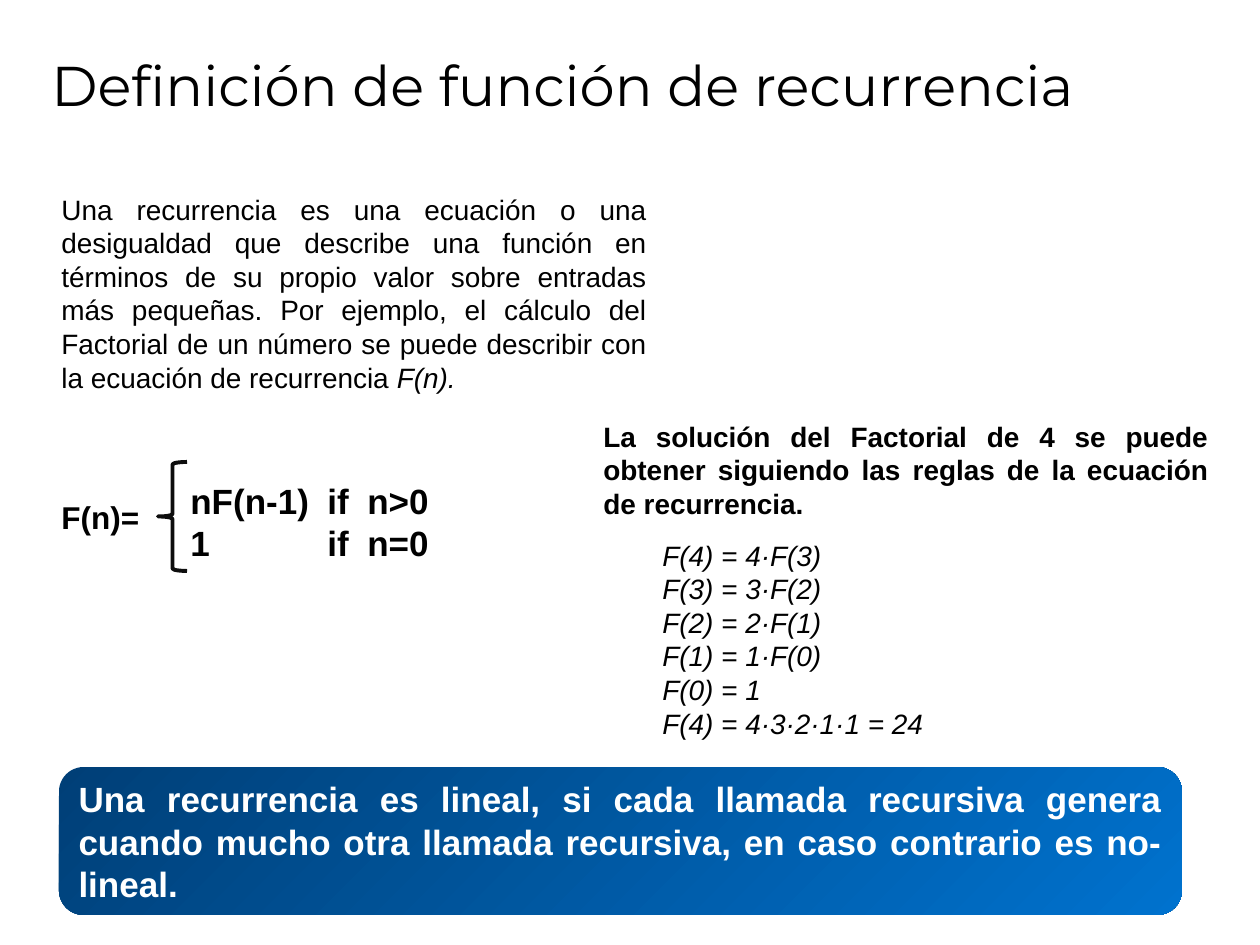
from pptx import Presentation
from pptx.dml.color import RGBColor
from pptx.enum.shapes import MSO_SHAPE
from pptx.enum.text import MSO_ANCHOR, PP_ALIGN
from pptx.oxml.ns import qn
from pptx.util import Pt
from lxml.etree import SubElement

PX = 914400 / 126
COLORS = {"text": "000000", "brace": "0D0D0D", "navy": "003F77",
          "blue": "0072CE", "white": "FFFFFF"}


def emu(*lengths):
    """Turn px lengths into EMU."""
    return [round(length * PX) for length in lengths]


def rgb(name):
    """Look up a colour by name."""
    return RGBColor.from_string(COLORS[name])


def write(frame, text, size, color="text", font="Arial", bold=False,
          italic=False, align=PP_ALIGN.LEFT, anchor=MSO_ANCHOR.TOP):
    """Fill a text frame and format all its runs."""
    frame.word_wrap = True
    frame.vertical_anchor = anchor
    frame.text = text
    for paragraph in frame.paragraphs:
        paragraph.alignment = align
        for run in paragraph.runs:
            run.font.size, run.font.name = Pt(size), font
            run.font.bold, run.font.italic = bold, italic
            run.font.color.rgb = rgb(color)
    return frame


def add_text(slide, box, text, size, **style):
    """Add a text box and return its frame."""
    frame = slide.shapes.add_textbox(*emu(*box)).text_frame
    return write(frame, text, size, **style)


def set_tabs(paragraph, stops):
    """Give a paragraph left tab stops at px positions."""
    tabs = SubElement(paragraph._p.get_or_add_pPr(), qn("a:tabLst"))
    for stop in emu(*stops):
        SubElement(tabs, qn("a:tab"), pos=str(stop), algn="l")


def add_definition(slide, left, top, width, height):
    """Add the paragraph that defines a recurrence."""
    frame = add_text(
        slide, (left, top, width, height),
        "Una recurrencia es una ecuación o una desigualdad que describe una "
        "función en términos de su propio valor sobre entradas más pequeñas. "
        "Por ejemplo, el cálculo del Factorial de un número se puede describir "
        "con la ecuación de recurrencia ", 16, align=PP_ALIGN.JUSTIFY)
    function = frame.paragraphs[0].add_run()
    function.text = "F(n)."
    function.font.size, function.font.name = Pt(16), "Arial"
    function.font.italic = True
    function.font.color.rgb = rgb("text")


def add_equation(slide, left, top, width, height):
    """Add the factorial equation with its brace and two cases."""
    add_text(slide, (left, top + 30, 168, 50), "F(n)=", 18, bold=True)
    brace = slide.shapes.add_shape(
        MSO_SHAPE.LEFT_BRACE, *emu(left + 109, top, 29, height))
    brace.shadow.inherit = False
    brace.fill.background()
    brace.line.color.rgb = rgb("brace")
    brace.line.width = Pt(2.25)
    cases = add_text(slide, (left + 129, top + 11, width - 129, 97),
                     "nF(n-1)\tif\tn>0\n1\tif\tn=0", 20, bold=True)
    for case in cases.paragraphs:
        set_tabs(case, (137, 177))


def add_solution(slide, left, top, width, height):
    """Add the worked factorial of 4 under its heading."""
    add_text(slide, (left, top, width, 113),
             "La solución del Factorial de 4 se puede obtener siguiendo las "
             "reglas de la ecuación de recurrencia.", 16, bold=True,
             align=PP_ALIGN.JUSTIFY)
    steps = [f"F({n}) = {n}·F({n - 1})" for n in range(4, 0, -1)]
    steps += ["F(0) = 1", "F(4) = 4·3·2·1·1 = 24"]
    add_text(slide, (left + 59, top + 119, 305, height - 119),
             "\n".join(steps), 16, italic=True)


def add_conclusion(slide, left, top, width, height):
    """Add the gradient banner with the linearity rule."""
    banner = slide.shapes.add_shape(
        MSO_SHAPE.ROUNDED_RECTANGLE, *emu(left, top, width, height))
    banner.shadow.inherit = False
    banner.line.fill.background()
    banner.fill.gradient()
    banner.fill.gradient_angle = 315
    for stop, name in zip(banner.fill.gradient_stops, ("navy", "blue")):
        stop.color.rgb = rgb(name)
    write(banner.text_frame,
          "Una recurrencia es lineal, si cada llamada recursiva genera cuando "
          "mucho otra llamada recursiva, en caso contrario es no-lineal.", 20,
          color="white", bold=True, align=PP_ALIGN.JUSTIFY,
          anchor=MSO_ANCHOR.MIDDLE)


def main():
    """Build and save the slide."""
    deck = Presentation()
    deck.slide_width, deck.slide_height = emu(1260, 945)
    slide = deck.slides.add_slide(deck.slide_layouts[6])
    add_text(slide, (39, 39, 1162, 91), "Definición de función de recurrencia",
             32, font="Montserrat", anchor=MSO_ANCHOR.MIDDLE)
    add_definition(slide, 49, 186, 610, 214)
    add_equation(slide, 49, 462, 483, 109)
    add_solution(slide, 591, 413, 630, 333)
    add_conclusion(slide, 59, 767, 1123, 148)
    deck.save("out.pptx")


if __name__ == "__main__":
    main()
